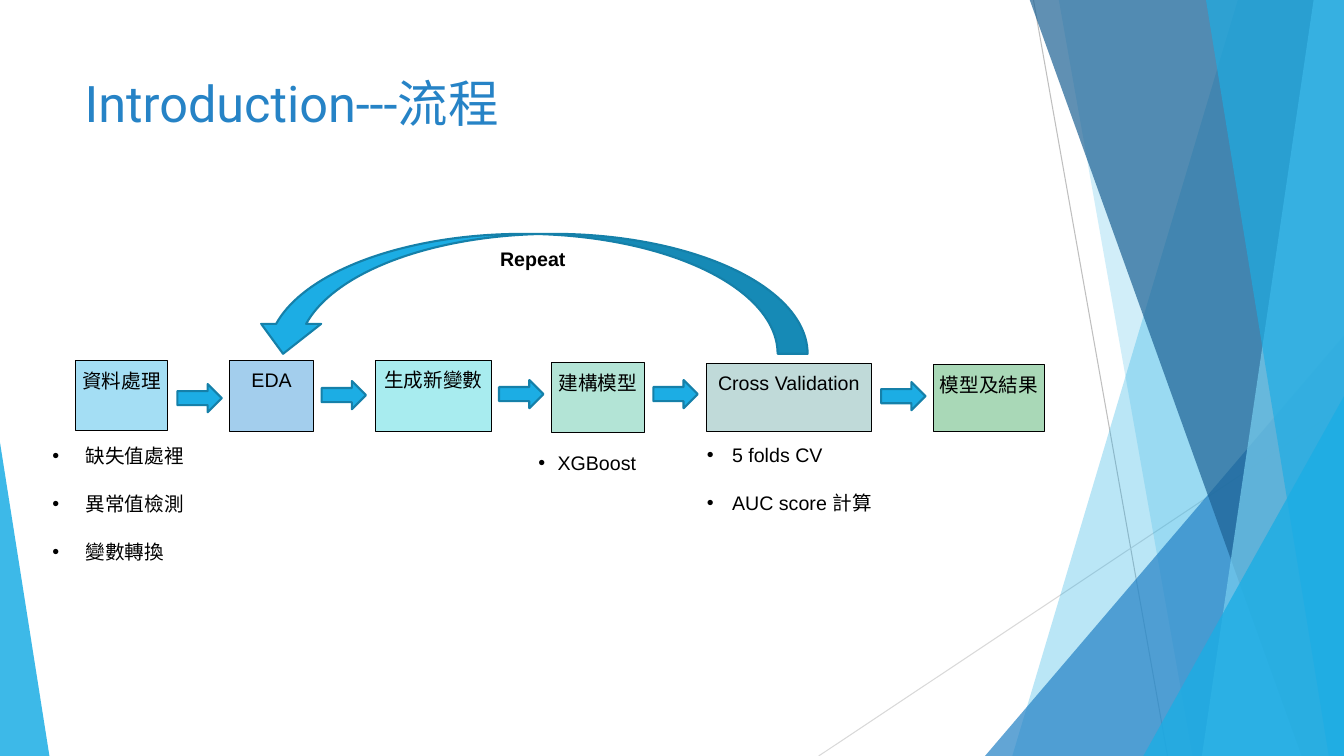
import pptx
import pptx.util
import pptx.dml.color
import pptx.enum.shapes
import pptx.enum.text
import pptx.oxml.ns
import lxml.etree

Inches = pptx.util.Inches
Pt = pptx.util.Pt
RGBColor = pptx.dml.color.RGBColor
Shape = pptx.enum.shapes.MSO_SHAPE
Align = pptx.enum.text.PP_ALIGN
Anchor = pptx.enum.text.MSO_ANCHOR
qn = pptx.oxml.ns.qn

WIDTH, HEIGHT = 13.33, 7.5
BLACK = RGBColor(0x00, 0x00, 0x00)
WHITE = RGBColor(0xFF, 0xFF, 0xFF)
SKY = RGBColor(0x1C, 0xAD, 0xE4)
BLUE = RGBColor(0x26, 0x83, 0xC6)
NAVY = RGBColor(0x1D, 0x62, 0x94)
PALE_SKY = RGBColor(0x77, 0xCE, 0xEF)
ARROW_EDGE = RGBColor(0x15, 0x80, 0xA9)
GREY = RGBColor(0xBF, 0xBF, 0xBF)
LIGHT_GREY = RGBColor(0xD9, 0xD9, 0xD9)

STEPS = [
    ("資料處理", (0.75, 3.58, 0.91, 0.69), RGBColor(0xA4, 0xDE, 0xF4)),
    ("EDA", (2.28, 3.58, 0.83, 0.7), RGBColor(0xA3, 0xCE, 0xED)),
    ("生成新變數", (3.72, 3.58, 1.16, 0.7), RGBColor(0xA8, 0xEC, 0xEF)),
    ("建構模型", (5.47, 3.6, 0.92, 0.69), RGBColor(0xB3, 0xE4, 0xD6)),
    ("Cross Validation", (7.01, 3.61, 1.63, 0.67), RGBColor(0xC0, 0xDA, 0xD9)),
    ("模型及結果", (9.26, 3.62, 1.1, 0.66), RGBColor(0xA9, 0xD8, 0xB7)),
]
ARROWS = [(1.76, 3.81), (3.19, 3.78), (4.95, 3.77), (6.48, 3.77), (8.74, 3.79)]
DETAILS = [
    (["5 folds CV", "AUC score 計算"], (6.97, 4.32, 1.72, 1.11), 0.25),
    (["XGBoost"], (5.3, 4.4, 1.26, 0.83), 0.19),
    (["缺失值處裡", "異常值檢測", "變數轉換"], (0.48, 4.33, 1.41, 1.3), 0.33),
]


def add_line(page, start, end, color):
    line = page.shapes.add_connector(
        pptx.enum.shapes.MSO_CONNECTOR.STRAIGHT, *map(Inches, start + end))
    line.line.color.rgb = color
    line.line.width = Pt(0.75)
    lxml.etree.SubElement(line._element.spPr, qn("a:effectLst"))


def paint_facet(facet, color, opacity):
    facet.shadow.inherit = False
    facet.fill.solid()
    facet.fill.fore_color.rgb = color
    facet.line.fill.background()
    solid = facet._element.spPr.find(qn("a:solidFill"))
    lxml.etree.SubElement(solid[0], qn("a:alpha"), val=str(opacity * 1000))


def add_band(page, top_x, bottom_x, color, opacity):
    builder = page.shapes.build_freeform(Inches(top_x), Inches(-0.01))
    corners = [(WIDTH, -0.01), (WIDTH, HEIGHT), (bottom_x, HEIGHT)]
    builder.add_line_segments([(Inches(x), Inches(y)) for x, y in corners])
    paint_facet(builder.convert_to_shape(), color, opacity)


def add_triangle(page, bounds, apex, color, opacity):
    triangle = page.shapes.add_shape(Shape.ISOSCELES_TRIANGLE, *map(Inches, bounds))
    triangle.adjustments[0] = apex
    paint_facet(triangle, color, opacity)


def add_background(page):
    add_line(page, (10.25, 0), (11.58, HEIGHT), GREY)
    add_line(page, (WIDTH, 4.03), (8.12, HEIGHT), LIGHT_GREY)
    add_band(page, 12.28, 10.04, SKY, 30)
    add_band(page, 10.5, 11.83, SKY, 20)
    add_triangle(page, (9.77, 3.33, 3.56, 4.17), 1, BLUE, 72)
    add_band(page, 10.21, 12.91, NAVY, 70)
    add_band(page, 13.03, 11.92, PALE_SKY, 70)
    add_band(page, 11.96, 13.18, SKY, 65)
    add_triangle(page, (11.34, 3.93, 1.99, 3.57), 1, SKY, 80)
    add_triangle(page, (0, 4.39, 0.49, 3.11), 0, SKY, 85)


def add_filled_shape(page, kind, bounds, fill, edge, edge_width):
    shape = page.shapes.add_shape(kind, *map(Inches, bounds))
    shape.shadow.inherit = False
    shape.fill.solid()
    shape.fill.fore_color.rgb = fill
    shape.line.color.rgb = edge
    shape.line.width = Pt(edge_width)
    return shape


def add_arrow(page, kind, bounds):
    return add_filled_shape(page, kind, bounds, SKY, ARROW_EDGE, 1.5)


def set_bullet(para, indent):
    properties = para._p.get_or_add_pPr()
    properties.set("marL", str(Inches(indent)))
    properties.set("indent", str(-Inches(indent)))
    lxml.etree.SubElement(properties, qn("a:buFont"), typeface="Arial")
    lxml.etree.SubElement(properties, qn("a:buChar"), char="•")


def add_box(page, lines, bounds, fill=WHITE, edge=WHITE,
            align=Align.LEFT, indent=None, bold=False):
    box = add_filled_shape(page, Shape.RECTANGLE, bounds, fill, edge, 0.75)
    frame = box.text_frame
    frame.word_wrap = True
    frame.vertical_anchor = Anchor.TOP
    frame.margin_left = frame.margin_right = Inches(0.04)
    frame.margin_top = frame.margin_bottom = Inches(0.04)
    for index, text in enumerate(lines):
        para = frame.add_paragraph() if index else frame.paragraphs[0]
        para.text = text
        para.alignment = align
        para.line_spacing = 1.15
        para.space_before = Pt(5 if index else 0)
        para.space_after = Pt(10)
        if indent:
            set_bullet(para, indent)
        para.font.name = "Arial"
        para.font.size = Pt(14)
        para.font.bold = bold
        para.font.color.rgb = BLACK


def set_title(page, text):
    title = page.shapes.title
    title.left, title.top, title.width, title.height = map(
        Inches, (0.74, 0.67, 9.4, 1.44))
    title.text_frame.text = text
    title.text_frame.vertical_anchor = Anchor.TOP
    para = title.text_frame.paragraphs[0]
    para.alignment = Align.LEFT
    para.font.name = "Roboto"
    para.font.size = Pt(36)
    para.font.color.rgb = BLUE


def main():
    deck = pptx.Presentation()
    deck.slide_width = Inches(WIDTH)
    deck.slide_height = Inches(HEIGHT)
    page = deck.slides.add_slide(deck.slide_layouts[5])
    add_background(page)
    set_title(page, "Introduction---流程")
    for lines, bounds, indent in DETAILS:
        add_box(page, lines, bounds, indent=indent)
    for label, bounds, fill in STEPS:
        add_box(page, [label], bounds, fill, BLACK, Align.CENTER)
    for left, top in ARROWS:
        add_arrow(page, Shape.RIGHT_ARROW, (left, top, 0.44, 0.28))
    loop = add_arrow(page, Shape.CURVED_UP_ARROW, (2.51, 2.32, 5.5, 1.19))
    loop.rotation = 180
    add_box(page, ["Repeat"], (4.92, 2.37, 0.77, 0.64), bold=True)
    deck.save("out.pptx")


if __name__ == "__main__":
    main()
